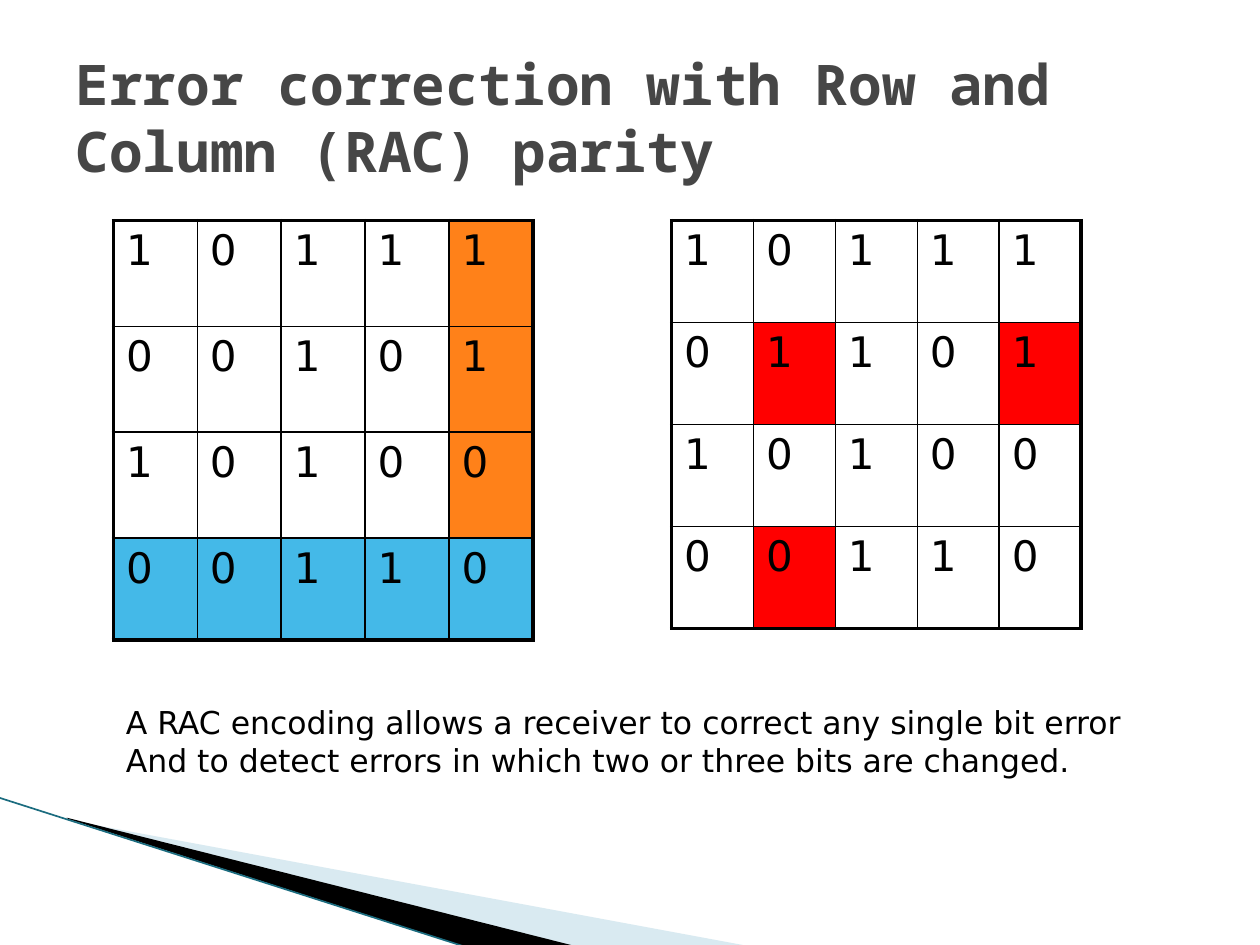
from lxml import etree
from pptx import Presentation
from pptx import util as u
from pptx.dml.color import RGBColor
from pptx.enum import shapes, text
from pptx.oxml.ns import qn

SCALE = 9144
INK = {
    "text": "000000",
    "title": "464646",
    "pale": "A0CBDC",
    "edge": "1B6C7F",
    "row": "44B9E8",
    "col": "FF8119",
    "error": "FF0000",
}
THIN, THICK = 1, 2.25


def px(n):
    return u.Emu(n * SCALE)


def rgb(name):
    return RGBColor.from_string(INK[name])


def write(frame, words, size=18, font="DejaVu Sans", color="text", bold=False):
    frame.text = words
    for para in frame.paragraphs:
        for run in para.runs:
            face = run.font
            face.size, face.name, face.bold = u.Pt(size), font, bold
            face.color.rgb = rgb(color)


def border(cell, side, width):
    props = cell._tc.get_or_add_tcPr()
    line = etree.SubElement(props, qn("a:ln" + side), w=str(u.Pt(width)))
    fill = etree.SubElement(line, qn("a:solidFill"))
    etree.SubElement(fill, qn("a:srgbClr"), val=INK["text"])


class Deck:
    def __init__(self, wide, high):
        self.prs = Presentation()
        self.prs.slide_width, self.prs.slide_height = px(wide), px(high)
        self.slide = self.prs.slides.add_slide(self.prs.slide_layouts[5])
        self.items = self.slide.shapes

    def title(self, box, words):
        item = self.items.title
        item.left, item.top, item.width, item.height = map(px, box)
        frame = item.text_frame
        write(frame, words, size=32, font="Noto Sans Mono", color="title", bold=True)
        frame.vertical_anchor = text.MSO_ANCHOR.MIDDLE
        frame.auto_size = text.MSO_AUTO_SIZE.NONE
        frame.paragraphs[0].alignment = text.PP_ALIGN.LEFT

    def note(self, box, words):
        frame = self.items.add_textbox(*map(px, box)).text_frame
        frame.word_wrap = False
        frame.auto_size = text.MSO_AUTO_SIZE.SHAPE_TO_FIT_TEXT
        write(frame, words)

    def wedge(self, points, color, alpha=100):
        build = self.items.build_freeform(*points[0], scale=SCALE)
        build.add_line_segments(points[1:], close=True)
        item = build.convert_to_shape()
        item.shadow.inherit = False
        item.line.fill.background()
        item.fill.solid()
        item.fill.fore_color.rgb = rgb(color)
        if alpha < 100:
            tint = item._element.spPr.find(".//" + qn("a:srgbClr"))
            etree.SubElement(tint, qn("a:alpha"), val=str(alpha * 1000))

    def line(self, start, end, color, width):
        item = self.items.add_connector(
            shapes.MSO_CONNECTOR.STRAIGHT, *map(px, start + end))
        item.line.color.rgb = rgb(color)
        item.line.width = u.Pt(width)
        etree.SubElement(item._element.spPr, qn("a:effectLst"))

    def grid(self, left, top, wide, highs, bits, fills):
        rows, cols = len(bits), len(bits[0])
        table = self.items.add_table(
            rows, cols, px(left), px(top), px(wide), px(sum(highs))).table
        table.first_row = table.horz_banding = False
        for col in table.columns:
            col.width = px(wide) // cols
        for r, (high, line) in enumerate(zip(highs, bits)):
            table.rows[r].height = px(high)
            for c, bit in enumerate(line):
                cell = table.cell(r, c)
                write(cell.text_frame, bit, size=24)
                outer = {"L": c == 0, "R": c == cols - 1,
                         "T": r == 0, "B": r == rows - 1}
                for side, edge in outer.items():
                    border(cell, side, THICK if edge else THIN)
                if (r, c) in fills:
                    cell.fill.solid()
                    cell.fill.fore_color.rgb = rgb(fills[r, c])
                else:
                    cell.fill.background()


def main():
    deck = Deck(1000, 750)
    deck.wedge([(55, 651), (595, 751), (456, 751), (55, 650)], "pale", 40)
    deck.wedge([(53, 649), (457, 751), (372, 752), (54, 650)], "text")
    deck.line((-1, 633), (371, 752), "edge", 0.95)

    parity = {(r, 4): "col" for r in range(3)}
    parity.update({(3, c): "row" for c in range(5)})
    deck.grid(90, 175, 333, [84, 84, 84, 81],
              ["10111", "00101", "10100", "00110"], parity)

    errors = dict.fromkeys([(1, 1), (1, 4), (3, 1)], "error")
    deck.grid(533, 175, 325, [81] * 4,
              ["10111", "01101", "10100", "00110"], errors)

    deck.title((50, 30, 900, 125),
               "Error correction with Row and Column (RAC) parity")
    deck.note((90, 553, 818, 70),
              "A RAC encoding allows a receiver to correct any single bit error\n"
              "And to detect errors in which two or three bits are changed.")
    deck.prs.save("out.pptx")


if __name__ == "__main__":
    main()
